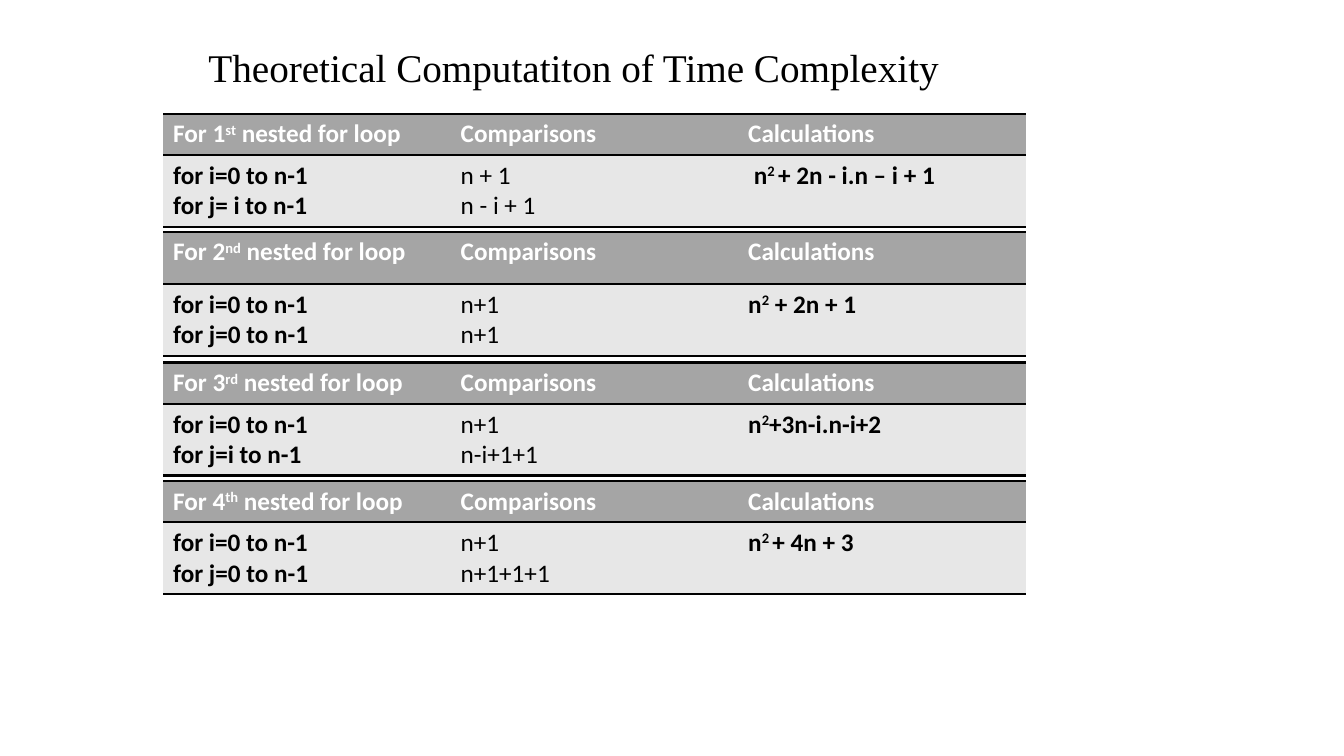
import pptx
import pptx.util
import pptx.dml.color
import pptx.enum.text
import pptx.oxml
import pptx.oxml.ns
from pptx.util import Cm

BLACK = pptx.dml.color.RGBColor(0, 0, 0)
WHITE = pptx.dml.color.RGBColor(255, 255, 255)
HEADER_GREY = pptx.dml.color.RGBColor(0xA5, 0xA5, 0xA5)
BODY_GREY = pptx.dml.color.RGBColor(0xE7, 0xE7, 0xE7)
PLAIN_STYLE = "{2D5ABB26-0587-4C30-8999-92F81FD0307C}"

TABLE_LEFT, TABLE_WIDTH = Cm(4.11), Cm(21.74)
BODY_HEIGHT = Cm(1.8)
LOOPS = [
    (Cm(2.87), Cm(1.04), "1^st^", "for i=0 to n-1\nfor j= i to n-1",
     "n + 1\nn - i + 1", " n^2 ^+ 2n - i.n – i + 1"),
    (Cm(5.84), Cm(1.32), "2^nd^", "for i=0 to n-1\nfor j=0 to n-1",
     "n+1\nn+1", "n^2^ + 2n + 1"),
    (Cm(9.14), Cm(1.04), "3^rd^", "for i=0 to n-1\nfor j=i to n-1",
     "n+1\nn-i+1+1", "n^2^+3n-i.n-i+2"),
    (Cm(12.12), Cm(1.04), "4^th^", "for i=0 to n-1\nfor j=0 to n-1",
     "n+1\nn+1+1+1", "n^2 ^+ 4n + 3"),
]


def add_title(page, left, top, width, height):
    title = page.shapes.title
    title.left, title.top, title.width, title.height = left, top, width, height
    frame = title.text_frame
    frame.text = "Theoretical Computatiton of Time Complexity"
    frame.vertical_anchor = pptx.enum.text.MSO_ANCHOR.MIDDLE
    para = frame.paragraphs[0]
    para.alignment = pptx.enum.text.PP_ALIGN.LEFT
    para.line_spacing = 0.9
    font = para.runs[0].font
    font.name, font.size = "Times New Roman", pptx.util.Pt(28)
    font.color.rgb = BLACK


def write_cell(cell, text, color, bold):
    frame = cell.text_frame
    frame.text = text.replace("^", "")
    for para, line in zip(frame.paragraphs, text.split("\n")):
        pieces = line.split("^")
        para.text = pieces[0]
        for piece in pieces[1:]:
            para.add_run().text = piece
        for index, span in enumerate(para.runs):
            font = span.font
            font.name, font.size, font.bold = "Calibri", pptx.util.Pt(18), bold
            font.color.rgb = color
            if index % 2:
                span._r.get_or_add_rPr().set("baseline", "30000")


def rule_cell(cell):
    properties = cell._tc.get_or_add_tcPr()
    for index, side in enumerate(("lnT", "lnB")):
        border = pptx.oxml.parse_xml(
            f'<a:{side} {pptx.oxml.ns.nsdecls("a")} w="{pptx.util.Pt(2)}">'
            f'<a:solidFill><a:srgbClr val="{BLACK}"/></a:solidFill></a:{side}>')
        properties.insert(index, border)


def add_loop_table(page, left, top, width, header_height, rows):
    frame = page.shapes.add_table(2, 3, left, top, width, header_height + BODY_HEIGHT)
    table = frame.table
    table._tbl.tblPr.find(pptx.oxml.ns.qn("a:tableStyleId")).text = PLAIN_STYLE
    table.horz_banding = False
    for column in table.columns:
        column.width = width // 3
    table.rows[0].height, table.rows[1].height = header_height, BODY_HEIGHT
    for row, texts in enumerate(rows):
        for column, text in enumerate(texts):
            cell = table.cell(row, column)
            write_cell(cell, text, BLACK if row else WHITE, row == 0 or column != 1)
            cell.fill.solid()
            cell.fill.fore_color.rgb = BODY_GREY if row else HEADER_GREY
            rule_cell(cell)


def main():
    deck = pptx.Presentation()
    deck.slide_width, deck.slide_height = Cm(33.87), Cm(19.05)
    page = deck.slides.add_slide(deck.slide_layouts[5])
    add_title(page, Cm(5), Cm(0.66), Cm(19.96), Cm(2.21))
    for top, header_height, ordinal, loops, comparisons, total in LOOPS:
        header = (f"For {ordinal} nested for loop", "Comparisons", "Calculations")
        add_loop_table(page, TABLE_LEFT, top, TABLE_WIDTH, header_height,
                       (header, (loops, comparisons, total)))
    deck.save("out.pptx")


if __name__ == "__main__":
    main()
